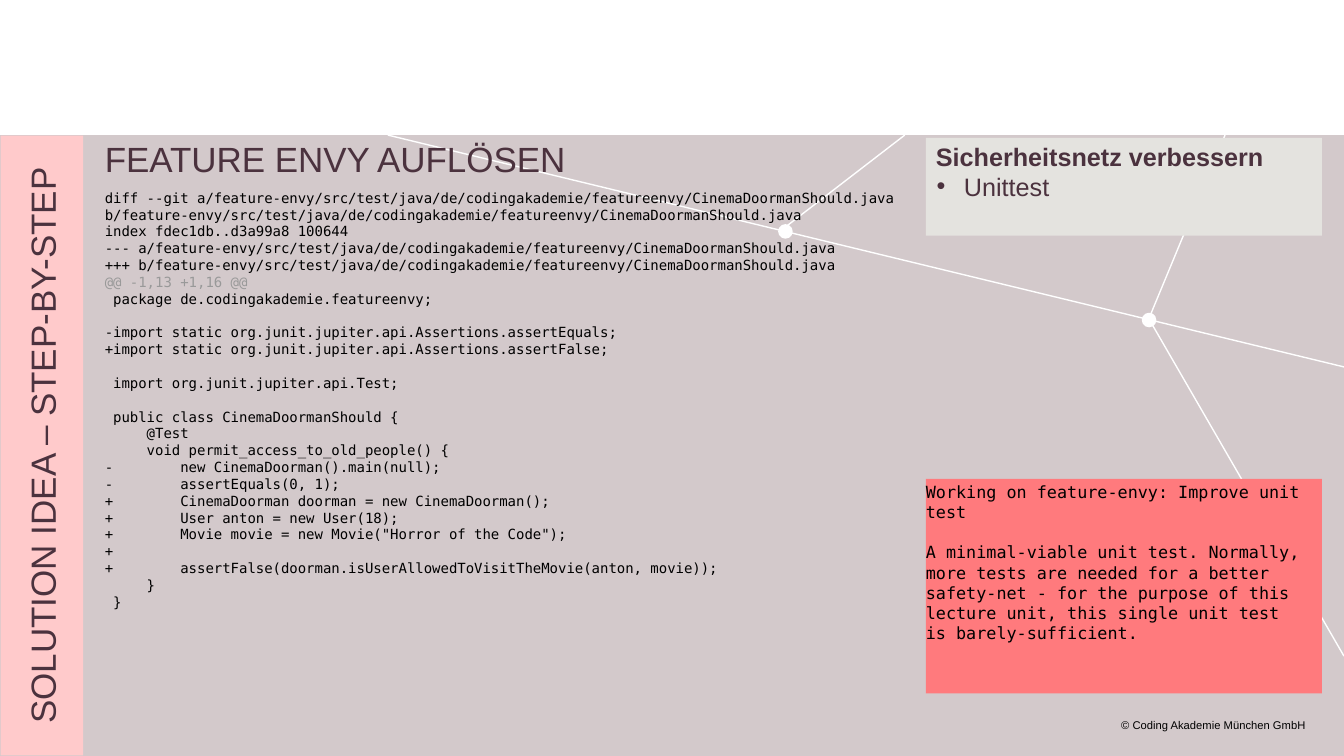
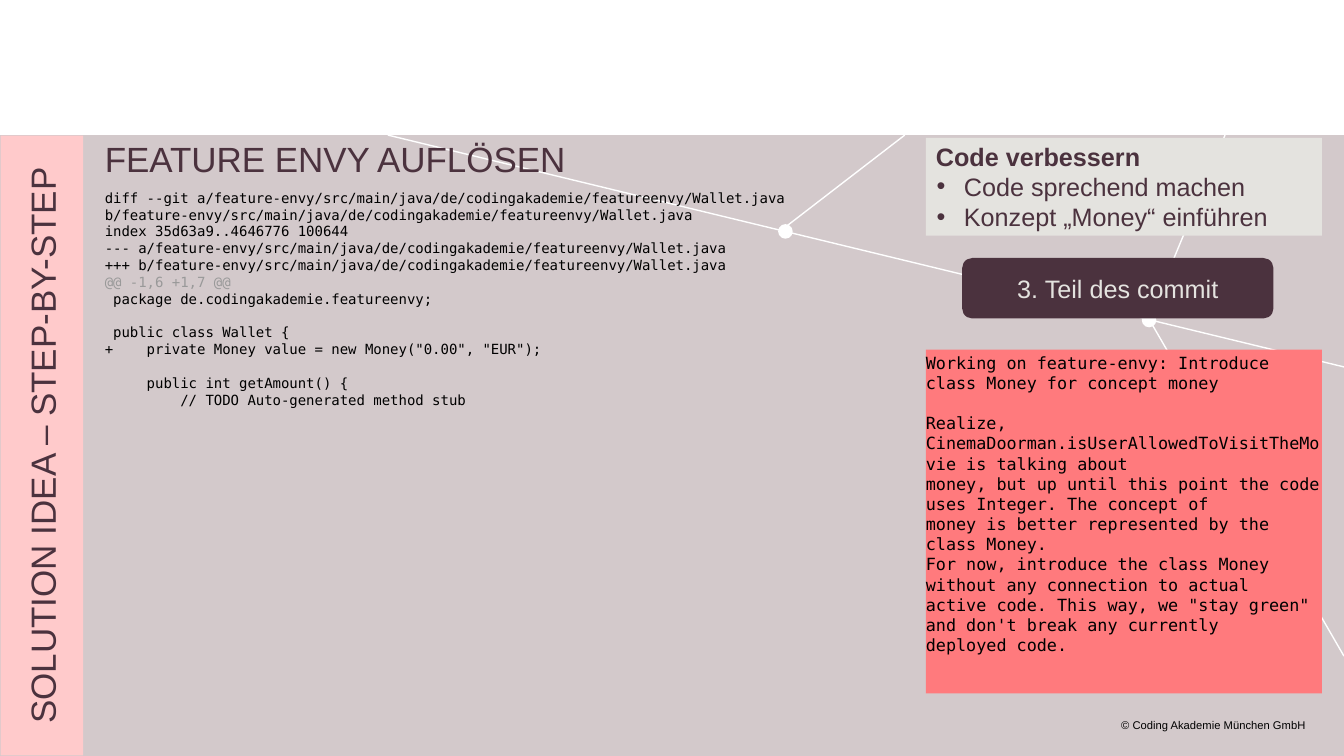
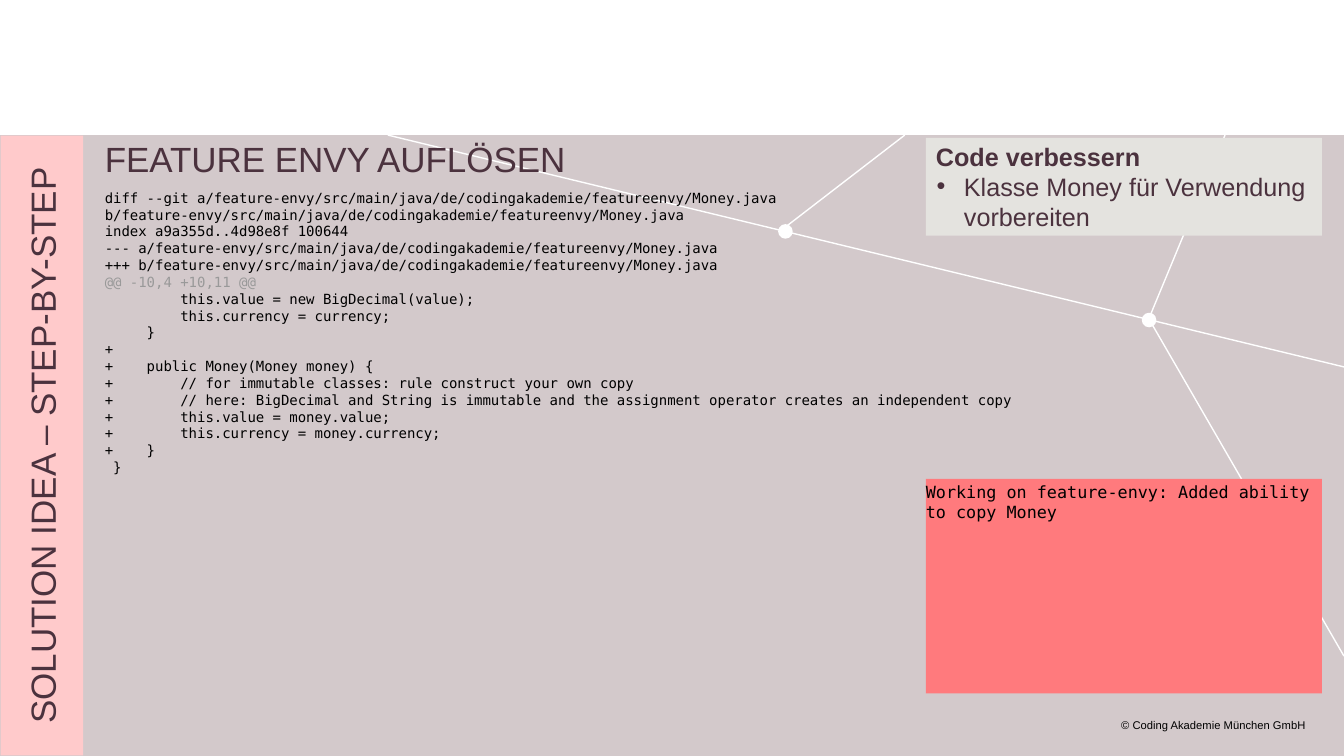
"""Build three step-by-step refactoring slides."""
from dataclasses import dataclass

from lxml.etree import SubElement
from pptx import Presentation
from pptx.dml.color import RGBColor
from pptx.enum.shapes import MSO_CONNECTOR, MSO_SHAPE
from pptx.enum.text import MSO_ANCHOR, MSO_AUTO_SIZE, PP_ALIGN
from pptx.oxml.ns import qn
from pptx.util import Pt


@dataclass(frozen=True)
class Theme:
    """Colours, fonts and type sizes of the deck."""
    plum: str = "4B323E"
    mauve: str = "D3C9CB"
    stone: str = "E4E3DF"
    rose: str = "FFCACB"
    coral: str = "FF7A7D"
    white: str = "FFFFFF"
    black: str = "000000"
    grey: str = "999999"
    sans: str = "Arial"
    mono: str = "DejaVu Sans Mono"
    title_size: float = 25
    goal_size: float = 18
    message_size: float = 12
    code_size: float = 10
    footer_size: float = 8


THEME = Theme()
WIDTH, HEIGHT = 960.5, 540
BAND_TOP = 96.5
CODE_LEFT, CODE_WIDTH = 74.9, 807.8
PANEL_LEFT, PANEL_WIDTH = 661.7, 283
PANEL_BOTTOM = 495.4
NODE_SIZE = 9.4
NODES = ((816.5, 223.9), (556.6, 160.6))
LINKS = (
    (WIDTH, 262.1, 277.2, BAND_TOP),
    (646.6, BAND_TOP, 558.7, 164.2),
    (822.2, 229.7, WIDTH, 468.7),
    (820.8, 228.2, 875.5, BAND_TOP),
)


def write(frame, text, *, size, color=THEME.plum, font=THEME.sans, align=PP_ALIGN.LEFT,
          anchor=MSO_ANCHOR.TOP, top_inset=0, line_spacing=None, auto_size=MSO_AUTO_SIZE.NONE):
    """Fill a text frame, one paragraph per line, and return its paragraphs."""
    frame.text = text
    frame.word_wrap = True
    frame.auto_size = auto_size
    frame.vertical_anchor = anchor
    frame.margin_left = frame.margin_right = frame.margin_bottom = 0
    frame.margin_top = Pt(top_inset)
    for paragraph in frame.paragraphs:
        paragraph.alignment = align
        paragraph.line_spacing = line_spacing
        for run in paragraph.runs:
            run.font.name = font
            run.font.size = Pt(size)
            run.font.color.rgb = RGBColor.from_string(color)
    return frame.paragraphs


def indent(paragraph, left, hanging=0, bullet=None):
    """Set a paragraph's indents and, if given, its bullet."""
    properties = paragraph._p.get_or_add_pPr()
    properties.set("marL", str(Pt(left)))
    properties.set("indent", str(Pt(-hanging)))
    if bullet:
        SubElement(properties, qn("a:buFont")).set("typeface", THEME.sans)
        SubElement(properties, qn("a:buChar")).set("char", bullet)


def diff(file, index, hunk, body):
    """Return a diff of one file with its header lines."""
    folder = "main" if file != "CinemaDoormanShould" else "test"
    target = f"feature-envy/src/{folder}/java/de/codingakademie/featureenvy/{file}.java"
    return "\n".join((f"diff --git a/{target} b/{target}", f"index {index} 100644",
                      f"--- a/{target}", f"+++ b/{target}", f"@@ {hunk} @@", body))


class Deck:
    """Holds the presentation, its style and the current slide."""

    def __init__(self):
        """Start an empty deck with its backdrop on the layout."""
        self.presentation = Presentation()
        self.presentation.slide_width = Pt(WIDTH)
        self.presentation.slide_height = Pt(HEIGHT)
        self.layout = self.presentation.slide_layouts.get_by_name("Title Only")
        self.slide = None

    def panel(self, left, top, width, height, fill, kind=MSO_SHAPE.RECTANGLE):
        """Add a filled shape without outline."""
        panel = self.slide.shapes.add_shape(kind, Pt(left), Pt(top), Pt(width), Pt(height))
        panel.shadow.inherit = False
        panel.fill.solid()
        panel.fill.fore_color.rgb = RGBColor.from_string(fill)
        panel.line.fill.background()
        return panel

    def link(self, *ends):
        """Add a thin white line of the network."""
        link = self.slide.shapes.add_connector(MSO_CONNECTOR.STRAIGHT, *map(Pt, ends))
        link.line.color.rgb = RGBColor.from_string(THEME.white)
        link.line.width = Pt(1)
        SubElement(link.element.spPr, qn("a:effectLst"))
        return link

    def backdrop(self):
        """Draw the band and its network and move them to the layout."""
        parts = [self.panel(0, BAND_TOP, WIDTH, HEIGHT - BAND_TOP, THEME.mauve)]
        for left, top in NODES:
            node = self.panel(left, top, NODE_SIZE, NODE_SIZE, THEME.white, MSO_SHAPE.OVAL)
            node.line.color.rgb = RGBColor.from_string(THEME.white)
            node.line.width = Pt(1)
            parts.append(node)
        parts += [self.link(*ends) for ends in LINKS]
        for number, part in enumerate(parts, 20):
            part.element.xpath(".//p:cNvPr")[0].set("id", str(number))
            self.layout.shapes.element.append(part.element)

    def open_slide(self, heading):
        """Add a slide with its title, sidebar and footer."""
        self.slide = self.presentation.slides.add_slide(self.layout)
        if len(self.presentation.slides) == 1:
            self.backdrop()
        title = self.slide.shapes.title
        title.left, title.top, title.width, title.height = map(
            Pt, (CODE_LEFT, 97.9, CODE_WIDTH, 30.2))
        write(title.text_frame, heading, size=THEME.title_size,
              auto_size=MSO_AUTO_SIZE.SHAPE_TO_FIT_TEXT)
        sidebar = self.panel(-191.5, 288.7, 442.8, 59, THEME.rose)
        sidebar.rotation = 270
        write(sidebar.text_frame, "SOLUTION IDEA – STEP-BY-STEP", size=THEME.title_size,
              align=PP_ALIGN.CENTER, anchor=MSO_ANCHOR.MIDDLE)
        footer = self.slide.shapes.add_textbox(Pt(650.2), Pt(513.4), Pt(283), Pt(9.4))
        write(footer.text_frame, "© Coding Akademie München GmbH", size=THEME.footer_size,
              color=THEME.black, align=PP_ALIGN.RIGHT, anchor=MSO_ANCHOR.MIDDLE,
              line_spacing=0.93, auto_size=MSO_AUTO_SIZE.SHAPE_TO_FIT_TEXT)

    def code(self, text):
        """Add the diff listing with a grey hunk line."""
        listing = self.slide.shapes.add_textbox(
            Pt(CODE_LEFT), Pt(133.2), Pt(CODE_WIDTH), Pt(281.5))
        for line in write(listing.text_frame, text, size=THEME.code_size, color=THEME.black,
                          font=THEME.mono, top_inset=2):
            if line.text.startswith("@@"):
                line.runs[0].font.color.rgb = RGBColor.from_string(THEME.grey)

    def goals(self, heading, *items):
        """Add the panel with a bold heading and bulleted goals."""
        panel = self.panel(PANEL_LEFT, 98.6, PANEL_WIDTH, 69.8, THEME.stone)
        first, *rest = write(panel.text_frame, "\n".join((heading, *items)),
                             size=THEME.goal_size, top_inset=2)
        first.runs[0].font.bold = True
        indent(first, 7.2)
        for goal in rest:
            indent(goal, 27.2, 19.6, "•")

    def message(self, top, subject, *body):
        """Add the commit message, its body set apart from the subject."""
        panel = self.panel(PANEL_LEFT, top, PANEL_WIDTH, PANEL_BOTTOM - top, THEME.coral)
        lines = write(panel.text_frame, "\n".join((subject, *body)), size=THEME.message_size,
                      color=THEME.black, font=THEME.mono, top_inset=2)
        if body:
            lines[1].space_before = Pt(14.4)

    def badge(self, text):
        """Add the rounded label naming the part of the commit."""
        badge = self.panel(687.6, 184.3, 222.5, 43.2, THEME.plum, MSO_SHAPE.ROUNDED_RECTANGLE)
        write(badge.text_frame, text, size=THEME.goal_size, color=THEME.stone,
              align=PP_ALIGN.CENTER, anchor=MSO_ANCHOR.MIDDLE)


DOORMAN_BODY = """\
 package de.codingakademie.featureenvy;
 
-import static org.junit.jupiter.api.Assertions.assertEquals;
+import static org.junit.jupiter.api.Assertions.assertFalse;
 
 import org.junit.jupiter.api.Test;
 
 public class CinemaDoormanShould {
     @Test
     void permit_access_to_old_people() {
-        new CinemaDoorman().main(null);
-        assertEquals(0, 1);
+        CinemaDoorman doorman = new CinemaDoorman();
+        User anton = new User(18);
+        Movie movie = new Movie("Horror of the Code");
+
+        assertFalse(doorman.isUserAllowedToVisitTheMovie(anton, movie));
     }
 }"""

WALLET_BODY = """\
 package de.codingakademie.featureenvy;
 
 public class Wallet {
+    private Money value = new Money("0.00", "EUR");
 
     public int getAmount() {
         // TODO Auto-generated method stub"""

MONEY_BODY = """\
         this.value = new BigDecimal(value);
         this.currency = currency;
     }
+
+    public Money(Money money) {
+        // for immutable classes: rule construct your own copy
+        // here: BigDecimal and String is immutable and the assignment operator creates an independent copy
+        this.value = money.value;
+        this.currency = money.currency;
+    }
 }"""


def main():
    """Build and save the deck."""
    deck = Deck()
    heading = "FEATURE ENVY AUFLÖSEN"
    low_top, high_top = 342, 249.8

    deck.open_slide(heading)
    deck.code(diff("CinemaDoormanShould", "fdec1db..d3a99a8", "-1,13 +1,16", DOORMAN_BODY))
    deck.goals("Sicherheitsnetz verbessern", "Unittest")
    deck.message(
        low_top, "Working on feature-envy: Improve unit test",
        "A minimal-viable unit test. Normally, more tests are needed for a better",
        "safety-net - for the purpose of this lecture unit, this single unit test",
        "is barely-sufficient.")

    deck.open_slide(heading)
    deck.code(diff("Wallet", "35d63a9..4646776", "-1,6 +1,7", WALLET_BODY))
    deck.goals("Code verbessern", "Code sprechend machen", "Konzept „Money“ einführen")
    deck.message(
        high_top, "Working on feature-envy: Introduce class Money for concept money",
        "Realize, CinemaDoorman.isUserAllowedToVisitTheMovie is talking about",
        "money, but up until this point the code uses Integer. The concept of",
        "money is better represented by the class Money.",
        "For now, introduce the class Money without any connection to actual",
        "active code. This way, we \"stay green\" and don't break any currently",
        "deployed code.")
    deck.badge("3. Teil des commit")

    deck.open_slide(heading)
    deck.code(diff("Money", "a9a355d..4d98e8f", "-10,4 +10,11", MONEY_BODY))
    deck.goals("Code verbessern", "Klasse Money für Verwendung vorbereiten")
    deck.message(low_top, "Working on feature-envy: Added ability to copy Money")

    deck.presentation.save("out.pptx")


if __name__ == "__main__":
    main()
